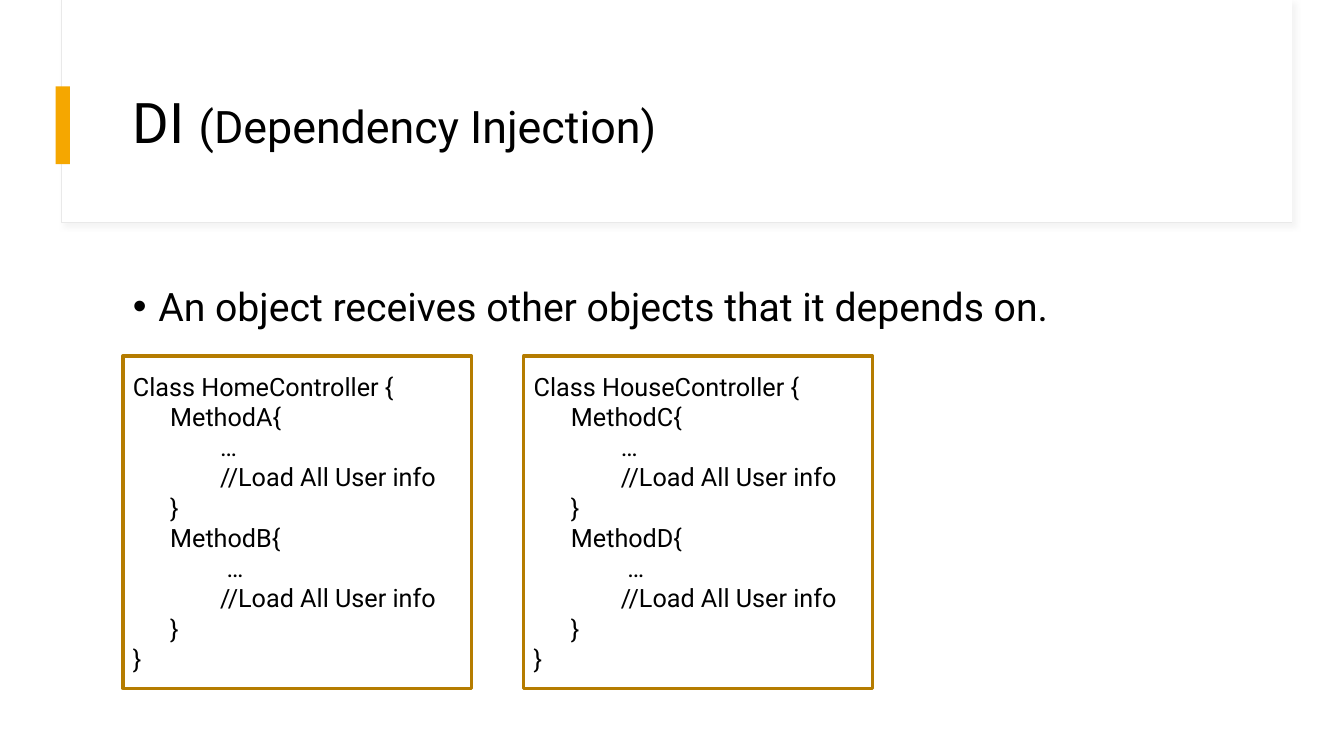
from lxml import etree
from pptx import Presentation
from pptx.dml.color import RGBColor
from pptx.enum.shapes import MSO_SHAPE
from pptx.enum.text import MSO_ANCHOR, PP_ALIGN
from pptx.oxml.ns import qn
from pptx.util import Cm, Pt

RECTANGLE = MSO_SHAPE.RECTANGLE
TOP, MIDDLE = MSO_ANCHOR.TOP, MSO_ANCHOR.MIDDLE
LEFT, JUSTIFY = PP_ALIGN.LEFT, PP_ALIGN.JUSTIFY

WHITE = RGBColor(0xFF, 0xFF, 0xFF)
BLACK = RGBColor(0x00, 0x00, 0x00)
PALE_GREY = RGBColor(0xE9, 0xE9, 0xE9)
SHADOW_GREY = RGBColor(0xD9, 0xD9, 0xD9)
AMBER = RGBColor(0xF5, 0xA7, 0x00)
BROWN = RGBColor(0xB5, 0x7C, 0x00)
FONT = "Roboto"

METHOD_INDENT, BODY_INDENT, SECOND_DOTS_INDENT = Cm(0.94), Cm(2.2), Cm(2.36)
CLASSES = [
    ("HomeController", "MethodA", "MethodB"),
    ("HouseController", "MethodC", "MethodD"),
]


def set_values(target, values):
    for name, value in values.items():
        setattr(target, name, value)


def add_rectangle(slide, box, fill=None, line=None, width=0.75):
    shape = slide.shapes.add_shape(RECTANGLE, *map(Cm, box))
    shape.shadow.inherit = False
    if fill is None:
        shape.fill.background()
    else:
        shape.fill.solid()
        shape.fill.fore_color.rgb = fill
    if line is None:
        shape.line.fill.background()
    else:
        shape.line.color.rgb = line
        shape.line.width = Pt(width)
    return shape


def add_soft_shadow(shape):
    effects = shape._element.spPr.find(qn("a:effectLst"))
    shadow = etree.SubElement(effects, qn("a:outerShdw"), blurRad=str(Pt(4)),
                              dist=str(Pt(3)), dir="2700000", algn="tl", rotWithShape="0")
    color = etree.SubElement(shadow, qn("a:srgbClr"), val=str(SHADOW_GREY))
    etree.SubElement(color, qn("a:alpha"), val="30000")


def add_text_area(slide, box, anchor):
    frame = slide.shapes.add_textbox(*map(Cm, box)).text_frame
    set_values(frame, {"word_wrap": True, "vertical_anchor": anchor})
    return frame


def add_run(paragraph, text, size):
    run = paragraph.add_run()
    run.text = text
    set_values(run.font, {"name": FONT, "size": Pt(size)})
    run.font.color.rgb = BLACK


def add_bullet(paragraph, indent):
    properties = paragraph._p.get_or_add_pPr()
    properties.set("marL", str(indent))
    properties.set("indent", str(-indent))
    etree.SubElement(properties, qn("a:buFont"), typeface="Arial")
    etree.SubElement(properties, qn("a:buChar"), char="•")


def method_lines(name, dots_indent):
    return [
        (METHOD_INDENT, name + "{"),
        (dots_indent, "…"),
        (BODY_INDENT, "//Load All User info"),
        (METHOD_INDENT, "}"),
    ]


def add_code_box(slide, box, class_name, first_method, second_method):
    frame = add_rectangle(slide, box, line=BROWN, width=2.25).text_frame
    set_values(frame, {"word_wrap": True, "vertical_anchor": MIDDLE})
    lines = [
        (0, f"Class {class_name} {{"),
        *method_lines(first_method, BODY_INDENT),
        *method_lines(second_method, SECOND_DOTS_INDENT),
        (0, "}"),
    ]
    for index, (indent, text) in enumerate(lines):
        paragraph = frame.add_paragraph() if index else frame.paragraphs[0]
        paragraph.alignment = JUSTIFY
        paragraph._p.get_or_add_pPr().set("marL", str(int(indent)))
        add_run(paragraph, text, 18)


def main():
    presentation = Presentation()
    set_values(presentation, {"slide_width": Cm(33.87), "slide_height": Cm(19.05)})
    slide = presentation.slides.add_slide(presentation.slide_layouts[6])

    # Title panel and accent bar
    panel = add_rectangle(slide, (1.55, 0, 31.01, 5.61), WHITE, PALE_GREY)
    add_soft_shadow(panel)
    add_rectangle(slide, (1.57, 0, 30.99, 5.59), WHITE)
    add_rectangle(slide, (1.4, 2.18, 0.36, 1.96), AMBER)

    # Title
    title = add_text_area(slide, (3.1, 1.52, 28.24, 3.28), MIDDLE).paragraphs[0]
    set_values(title, {"alignment": LEFT, "line_spacing": 0.9})
    add_run(title, "DI ", 40)
    add_run(title, "(Dependency Injection)", 32)

    # Definition
    definition = add_text_area(slide, (3.1, 6.88, 28.24, 10.26), TOP).paragraphs[0]
    set_values(definition, {"alignment": LEFT, "line_spacing": 1.1, "space_before": Pt(10)})
    add_bullet(definition, Cm(0.64))
    add_run(definition, "An object receives other objects that it depends on.", 28)

    # Code boxes
    for column, names in enumerate(CLASSES):
        add_code_box(slide, (3.1 + column * 10.1, 8.97, 8.79, 8.38), *names)

    presentation.save("out.pptx")


if __name__ == "__main__":
    main()
